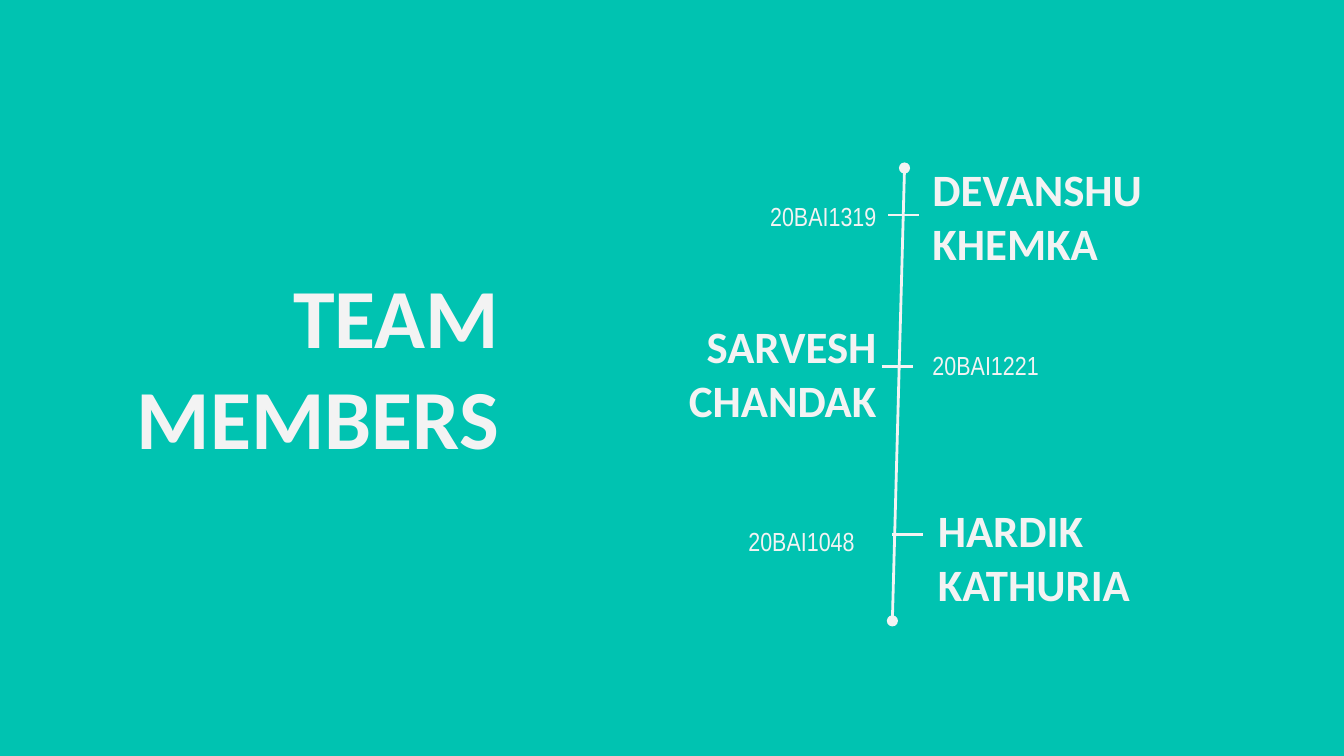
import pptx
import pptx.dml.color
import pptx.enum.shapes
import pptx.enum.text
import pptx.oxml
import pptx.oxml.ns
import pptx.util

Pt = pptx.util.Pt
ALIGN = pptx.enum.text.PP_ALIGN
ANCHOR = pptx.enum.text.MSO_ANCHOR

TEAL = pptx.dml.color.RGBColor(0x00, 0xC3, 0xB1)
OFF_WHITE = pptx.dml.color.RGBColor(0xF3, 0xF3, 0xF3)

NAME = {"size": 24, "font": "Calibri", "bold": True}
NUMBER = {"size": 14, "font": "Arial Narrow"}
TICK_LENGTH = 16.56


def add_text(slide, text, left, top, width, height, *, size, font, bold=False,
             align=ALIGN.LEFT, anchor=ANCHOR.MIDDLE):
    """Add a wrapped text box with one formatted paragraph."""
    shape = slide.shapes.add_textbox(Pt(left), Pt(top), Pt(width), Pt(height))
    frame = shape.text_frame
    frame.word_wrap = True
    frame.vertical_anchor = anchor
    frame.margin_left = frame.margin_right = Pt(7.2)
    frame.margin_top = frame.margin_bottom = Pt(7.2)
    paragraph = frame.paragraphs[0]
    paragraph.alignment = align
    run = paragraph.add_run()
    run.text = text
    run.font.size = Pt(size)
    run.font.name = font
    run.font.bold = bold
    run.font.color.rgb = OFF_WHITE


def add_line(slide, start, end, oval_ends=False):
    """Add a straight line, with round dots at both ends if asked."""
    connector = slide.shapes.add_connector(
        pptx.enum.shapes.MSO_CONNECTOR.STRAIGHT,
        Pt(start[0]), Pt(start[1]), Pt(end[0]), Pt(end[1]))
    connector.line.color.rgb = OFF_WHITE
    connector.line.width = Pt(1.5)
    if oval_ends:
        line = connector.line._get_or_add_ln()
        for tag in ("a:headEnd", "a:tailEnd"):
            line.append(pptx.oxml.parse_xml(
                f'<{tag} {pptx.oxml.ns.nsdecls("a")} type="oval"/>'))
    properties = connector._element.spPr
    properties.append(pptx.oxml.parse_xml(
        f'<a:effectLst {pptx.oxml.ns.nsdecls("a")}/>'))


def main():
    presentation = pptx.Presentation()
    presentation.slide_width = Pt(720)
    presentation.slide_height = Pt(405)
    slide = presentation.slides.add_slide(presentation.slide_layouts[6])
    slide.background.fill.solid()
    slide.background.fill.fore_color.rgb = TEAL

    # Title
    add_text(slide, "TEAM MEMBERS", 56.88, 134.64, 217.44, 136.08, size=45,
             font="Calibri", bold=True, align=ALIGN.RIGHT, anchor=ANCHOR.TOP)

    # Timeline
    add_line(slide, (484.56, 90), (478.08, 332.64), oval_ends=True)
    for left, y in ((475.92, 115.2), (472.32, 196.56), (478.08, 286.56)):
        add_line(slide, (left, y), (left + TICK_LENGTH, y))

    # First member
    add_text(slide, "20BAI1319", 313.92, 90.72, 162.72, 49.68,
             align=ALIGN.RIGHT, **NUMBER)
    add_text(slide, "DEVANSHU KHEMKA", 492.48, 90.72, 162.72, 49.68, **NAME)

    # Second member
    add_text(slide, "SARVESH CHANDAK", 313.92, 168.48, 162.72, 61.92,
             align=ALIGN.RIGHT, **NAME)
    add_text(slide, "20BAI1221", 492.48, 180, 162.72, 50.4,
             anchor=ANCHOR.TOP, **NUMBER)

    # Third member
    add_text(slide, "20BAI1048", 393.84, 264.96, 84.24, 49.68, **NUMBER)
    add_text(slide, "HARDIK KATHURIA", 495.36, 264.96, 129.6, 66.24, **NAME)

    presentation.save("out.pptx")


if __name__ == "__main__":
    main()
